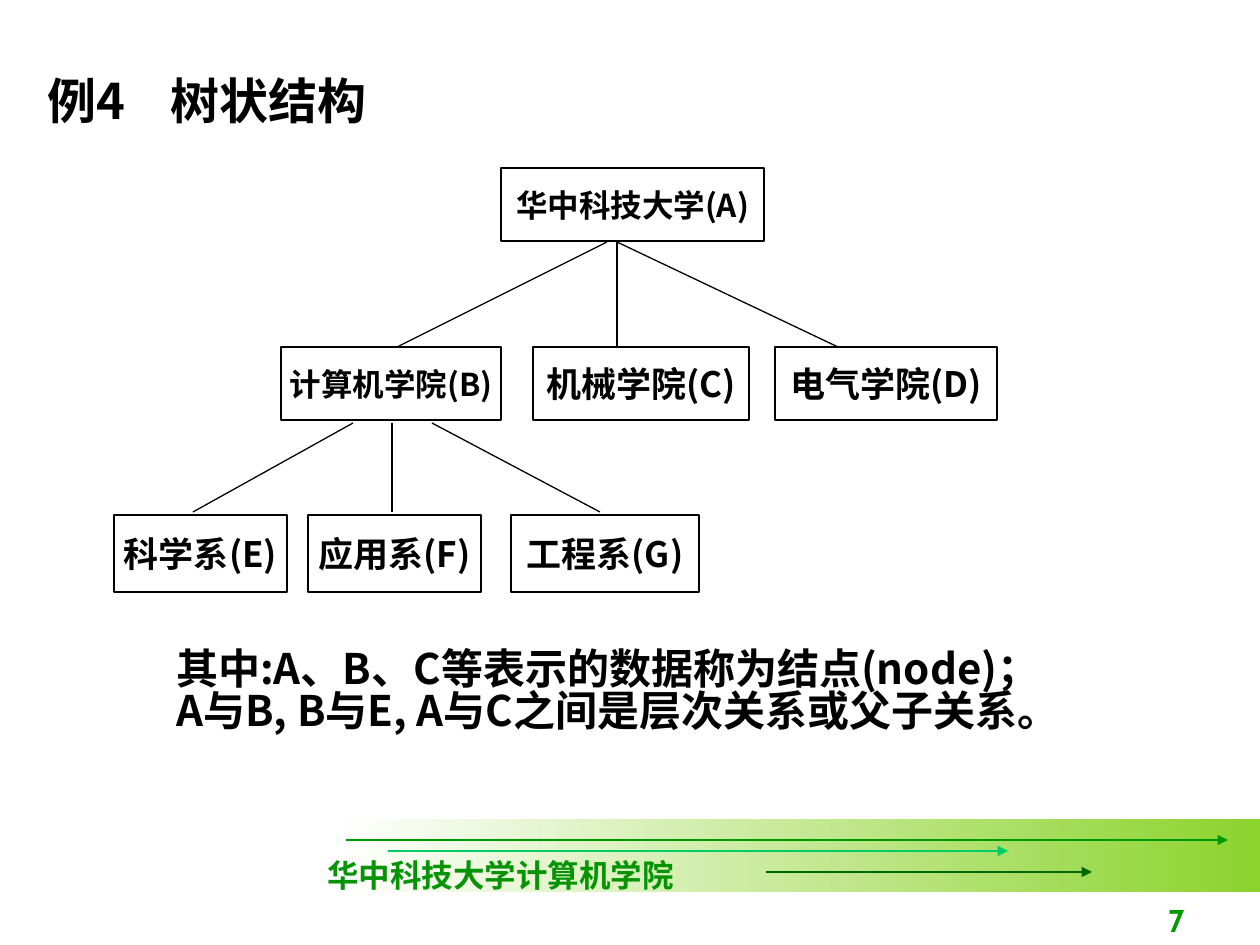
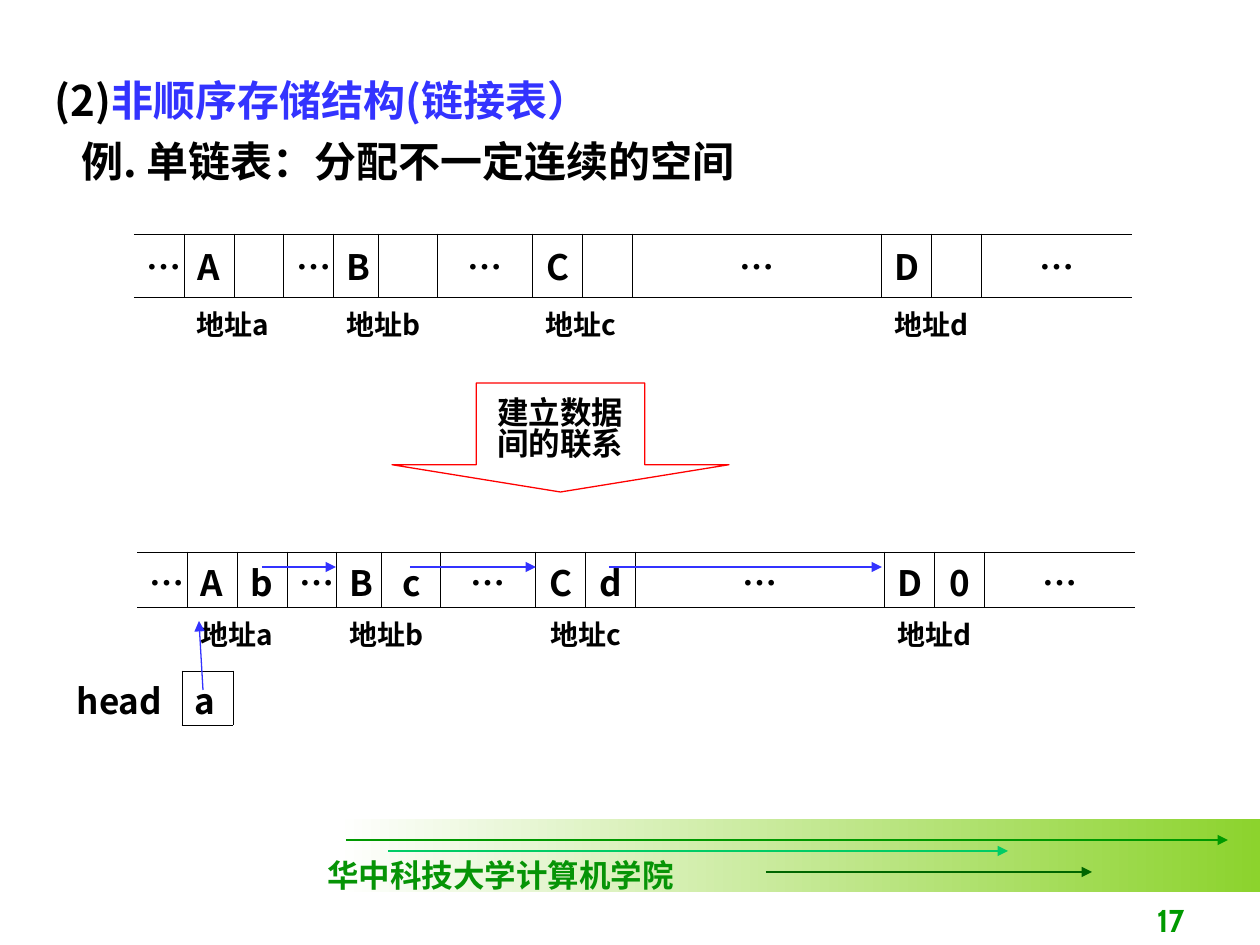
import lxml.etree
import pptx
import pptx.dml.color
import pptx.enum.shapes
import pptx.enum.text
import pptx.oxml.ns
import pptx.util

ALIGN = pptx.enum.text.PP_ALIGN
ANCHOR = pptx.enum.text.MSO_ANCHOR
SHAPE = pptx.enum.shapes.MSO_SHAPE
BLACK, BLUE, RED = "000000", "3333FF", "FF0000"
MAIN_FONT = "Noto Sans CJK SC"
TIGHT = 0.83
TITLE_TOP, TITLE_HEIGHT = 64, 72
CELL_WIDTHS = [50, 50, 50, 50, 45, 59, 95, 50, 50, 249, 50, 50, 150]
NODE_COLUMNS = {1: "a", 4: "b", 7: "c", 10: "d"}


def px(length):
    """Turn pixels into EMU."""
    return pptx.util.Emu(round(length * 914400 / 126))


def rgb(color):
    """Turn a hex string into a colour."""
    return pptx.dml.color.RGBColor.from_string(color)


def add_element(parent, tag, **attributes):
    """Append a drawing element to a parent."""
    return lxml.etree.SubElement(parent, pptx.oxml.ns.qn(tag), **attributes)


def style_span(span, size, color=BLACK, font=MAIN_FONT):
    """Format one run in bold, for Latin and Chinese text."""
    span.font.size = pptx.util.Pt(size)
    span.font.bold = True
    span.font.color.rgb = rgb(color)
    span.font.name = font
    add_element(span.font._element, "a:ea", typeface=MAIN_FONT)


def write(frame, text, size, color=BLACK, font=MAIN_FONT, align=ALIGN.LEFT,
          anchor=ANCHOR.MIDDLE, wrap=True, spacing=None):
    """Fill a text frame and format all its paragraphs."""
    frame.text = text
    frame.word_wrap = wrap
    frame.auto_size = pptx.enum.text.MSO_AUTO_SIZE.NONE
    frame.vertical_anchor = anchor
    for para in frame.paragraphs:
        para.alignment = align
        para.space_before = pptx.util.Pt(0)
        if spacing:
            para.line_spacing = spacing
        for span in para.runs:
            style_span(span, size, color, font)


def place(box, left, top, width, height):
    """Move and size a placeholder."""
    box.left, box.top, box.width, box.height = map(px, (left, top, width, height))


def add_text(page, area, text, size, **style):
    """Add a text box."""
    box = page.shapes.add_textbox(*map(px, area))
    write(box.text_frame, text, size, **style)


def add_outline(page, kind, area, text, size, color=BLACK, spacing=None):
    """Add an unfilled shape with centred text."""
    box = page.shapes.add_shape(kind, *map(px, area))
    box.shadow.inherit = False
    box.fill.background()
    box.line.color.rgb = rgb(color)
    box.line.width = pptx.util.Pt(0.75)
    write(box.text_frame, text, size, align=ALIGN.CENTER, wrap=False, spacing=spacing)
    return box


def add_line(page, start, end, color=BLACK, arrow=False):
    """Add a thin straight line, with an arrowhead on demand."""
    line = page.shapes.add_connector(
        pptx.enum.shapes.MSO_CONNECTOR.STRAIGHT, *map(px, start + end))
    line.line.color.rgb = rgb(color)
    line.line.width = pptx.util.Pt(0.75)
    properties = line._element.spPr
    if arrow:
        add_element(properties.find(pptx.oxml.ns.qn("a:ln")), "a:tailEnd", type="triangle")
    add_element(properties, "a:effectLst")


def add_footer(page, number):
    """Draw the green band, its arrows, the school name and the page number."""
    left, top = 336, 819
    band = page.shapes.add_shape(SHAPE.RECTANGLE, *map(px, (left, top, 924, 73)))
    band.shadow.inherit = False
    band.line.fill.background()
    band.fill.gradient()
    band.fill.gradient_angle = 0
    for stop, position, color in zip(band.fill.gradient_stops, (0, 1), ("FFFFFF", "8CD32D")):
        stop.position = position
        stop.color.rgb = rgb(color)
    for start, end, drop, color in [(10, 892, 21, "009900"), (52, 672, 32, "00CC66"),
                                    (430, 756, 53, "006600")]:
        add_line(page, (left + start, top + drop), (left + end, top + drop), color, True)
    add_text(page, (left - 21, top + 31, 372, 50), "华中科技大学计算机学院", 18,
             color="069406", font="Times New Roman", wrap=False)
    add_text(page, (left + 599, top + 63, 262, 63), str(number), 18, color="009900",
             font="Cabin", align=ALIGN.RIGHT, anchor=ANCHOR.BOTTOM)


def add_tree(page, left, top):
    """Draw the tree of university, schools and departments."""
    nodes = [
        (387, 0, 263, 73, "华中科技大学(A)", 18),
        (167, 179, 220, 73, "计算机学院(B)", 18),
        (419, 179, 216, 73, "机械学院(C)", 20),
        (661, 179, 222, 73, "电气学院(D)", 20),
        (0, 347, 173, 77, "科学系(E)", 20),
        (194, 347, 173, 77, "应用系(F)", 20),
        (397, 347, 188, 77, "工程系(G)", 20),
    ]
    for x, y, width, height, label, size in nodes:
        add_outline(page, SHAPE.RECTANGLE, (left + x, top + y, width, height), label, size)
    school_links = [(493, 283), (503, 503), (503, 724)]
    department_links = [(239, 79), (278, 278), (318, 486)]
    for links, start, end in [(school_links, 74, 179), (department_links, 255, 344)]:
        for upper, lower in links:
            add_line(page, (left + upper, top + start), (left + lower, top + end))


def set_borders(cell, sides):
    """Draw the named sides of a clear cell and hide the others."""
    cell.fill.background()
    properties = cell._tc.get_or_add_tcPr()
    for index, side in enumerate("LRTB"):
        edge = add_element(properties, "a:ln" + side, w="5715")
        if side in sides:
            add_element(add_element(edge, "a:solidFill"), "a:srgbClr", val=BLACK)
        else:
            add_element(edge, "a:noFill")
        properties.insert(index, edge)


def add_grid(page, left, top, widths, heights):
    """Add a plain table with the given column widths and row heights."""
    area = map(px, (left, top, sum(widths), sum(heights)))
    table = page.shapes.add_table(len(heights), len(widths), *area).table
    table.first_row = table.horz_banding = False
    for column, width in zip(table.columns, widths):
        column.width = px(width)
    for row, height in zip(table.rows, heights):
        row.height = px(height)
    return table


def fill_cell(cell, text, height, align=ALIGN.CENTER):
    """Write a memory cell, fitting its margins to the row height."""
    cell.margin_top, cell.margin_bottom = px(min(6, height - 51)), 0
    cell.text = text
    para = cell.text_frame.paragraphs[0]
    para.alignment = align
    for span in para.runs:
        style_span(span, 20)


def add_memory(page, left, top, height, links, centred):
    """Draw a strip of memory cells with the node addresses below."""
    table = add_grid(page, left, top, CELL_WIDTHS, [height, 81])
    last = len(CELL_WIDTHS) - 1
    values = ["…"] * len(CELL_WIDTHS)
    for column, value, link in zip(NODE_COLUMNS, "ABCD", links):
        values[column:column + 2] = [value, link]
    for column, value in enumerate(values):
        cell = table.cell(0, column)
        fill_cell(cell, value, height)
        set_borders(cell, "TB" + "L" * (column > 0) + "R" * (column < last))
        set_borders(table.cell(1, column), "T")
    for column, address in NODE_COLUMNS.items():
        cell = table.cell(1, column)
        cell.merge(table.cell(1, column + 1))
        cell.text = "地址" + address
        para = cell.text_frame.paragraphs[0]
        para.alignment = ALIGN.CENTER if address in centred else ALIGN.LEFT
        style_span(para.runs[0], 16)


def add_head(page, left, top):
    """Draw the head pointer and its arrow to the first node."""
    table = add_grid(page, left, top, [118, 51], [54])
    for cell, text, sides in zip(table.rows[0].cells, ["head", "a"], ["R", "LRTB"]):
        fill_cell(cell, text, 54, ALIGN.LEFT)
        set_borders(cell, sides)
    add_line(page, (left + 139, top + 19), (left + 135, top - 50), BLUE, True)


def build_tree_page(deck):
    """Build the page on tree structures."""
    page = deck.slides.add_slide(deck.slide_layouts[5])
    add_footer(page, 7)
    title = page.shapes.title
    place(title, 35, TITLE_TOP, 367, TITLE_HEIGHT)
    write(title.text_frame, "例4\t树状结构", 28)
    properties = title.text_frame.paragraphs[0]._p.get_or_add_pPr()
    add_element(add_element(properties, "a:tabLst"), "a:tab", pos=str(px(123)), algn="l")
    add_tree(page, 114, 168)
    add_text(page, (164, 645, 1068, 113),
             "其中:A、B、C等表示的数据称为结点(node)；\n"
             "A与B, B与E, A与C之间是层次关系或父子关系。",
             24, anchor=ANCHOR.TOP, spacing=TIGHT)


def build_list_page(deck):
    """Build the page on linked lists."""
    page = deck.slides.add_slide(deck.slide_layouts[1])
    add_footer(page, 17)
    title, body = page.placeholders
    place(title, 42, TITLE_TOP, 1176, TITLE_HEIGHT)
    write(title.text_frame, "(2)", 24)
    span = title.text_frame.paragraphs[0].add_run()
    span.text = "非顺序存储结构(链接表）"
    style_span(span, 24, BLUE)
    place(body, 42, 125, 1176, TITLE_HEIGHT)
    write(body.text_frame, "例. 单链表：分配不一定连续的空间", 24)
    properties = body.text_frame.paragraphs[0]._p.get_or_add_pPr()
    properties.set("marL", str(px(27)))
    properties.set("indent", "0")
    add_element(properties, "a:buNone")
    add_memory(page, 134, 234, 63, [""] * 4, "")
    add_outline(page, SHAPE.DOWN_ARROW, (392, 383, 337, 109), "建立数据\n间的联系",
                18, RED, TIGHT).adjustments[1] = 0.25
    add_memory(page, 137, 552, 55, "bcd0", "acd")
    for start, end in [(262, 336), (410, 536), (609, 882)]:
        add_line(page, (start, 567), (end, 567), BLUE, True)
    add_head(page, 64, 671)


def main():
    """Build and save the deck."""
    deck = pptx.Presentation()
    deck.slide_width, deck.slide_height = px(1260), px(945)
    build_tree_page(deck)
    build_list_page(deck)
    deck.save("out.pptx")


if __name__ == "__main__":
    main()
